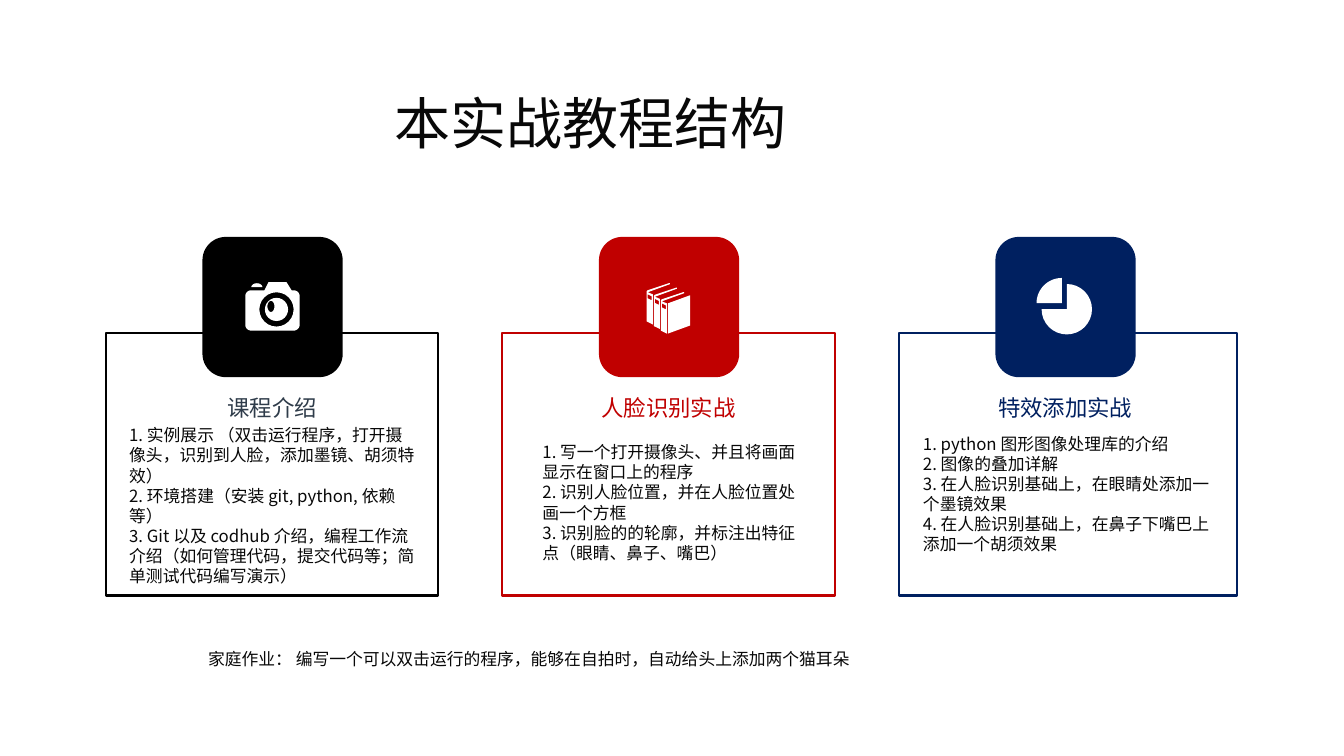
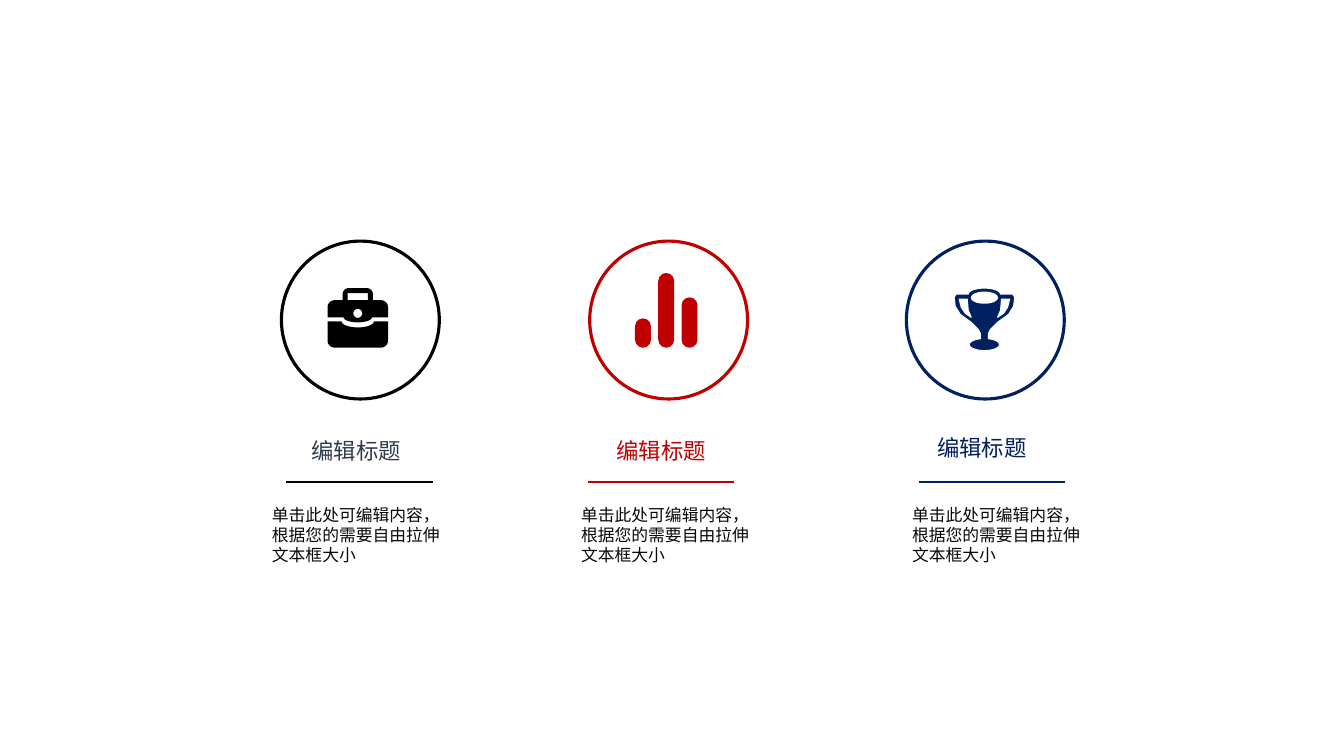
"""Build two slides: a three-part course outline and a three-column icon layout."""
import dataclasses
import math

import lxml.etree
import pptx
import pptx.dml.color
import pptx.enum.shapes
import pptx.enum.text
import pptx.oxml.ns
import pptx.util

SHAPE = pptx.enum.shapes.MSO_SHAPE
ALIGN = pptx.enum.text.PP_ALIGN


@dataclasses.dataclass(frozen=True)
class Theme:
    font: str = "Noto Sans CJK SC"
    ink: str = "080808"
    slate: str = "2F3C4A"
    white: str = "FFFFFF"
    black: str = "000000"
    red: str = "C00000"
    navy: str = "002060"
    title_size: int = 40
    heading_size: int = 16
    body_size: int = 12
    leading: float = 1.2
    frame_line: float = 1.5
    circle_line: float = 2.25
    rule_line: float = 1.75
    icon_line: float = 0.75


THEME = Theme()
WIDTH, HEIGHT = 12192000, 6858000
CELL = WIDTH / 160
ICON_STEP = 0.12


def cells(*counts):
    return [round(count * CELL) for count in counts]


def colour(code):
    return pptx.dml.color.RGBColor.from_string(code)


def style(shape, fill=None, line=None, weight=0):
    shape.shadow.inherit = False
    if fill:
        shape.fill.solid()
        shape.fill.fore_color.rgb = colour(fill)
    else:
        shape.fill.background()
    if line:
        shape.line.color.rgb = colour(line)
        shape.line.width = pptx.util.Pt(weight)
    else:
        shape.line.fill.background()


def add_box(page, kind, left, top, width, height, **look):
    box = page.shapes.add_shape(kind, *cells(left, top, width, height))
    style(box, **look)
    return box


def add_text(page, left, top, width, height, lines, size=THEME.body_size,
             ink=THEME.ink, align=ALIGN.LEFT, before=0):
    frame = page.shapes.add_textbox(*cells(left, top, width, height)).text_frame
    frame.word_wrap = True
    frame.text = "\n".join(lines)
    for para in frame.paragraphs:
        para.alignment = align
        para.line_spacing = pptx.util.Pt(size * THEME.leading)
        para.space_before = pptx.util.Pt(before)
        para.font.size = pptx.util.Pt(size)
        para.font.color.rgb = colour(ink)
        para.font.name = THEME.font
        latin = para._p.find(".//" + pptx.oxml.ns.qn("a:latin"))
        east = lxml.etree.Element(pptx.oxml.ns.qn("a:ea"), typeface=THEME.font)
        latin.addnext(east)


def add_rule(page, left, top, width, ink):
    rule = page.shapes.add_connector(
        pptx.enum.shapes.MSO_CONNECTOR.STRAIGHT, *cells(left, top, left + width, top))
    rule.line.color.rgb = colour(ink)
    rule.line.width = pptx.util.Pt(THEME.rule_line)
    lxml.etree.SubElement(rule._element.spPr, pptx.oxml.ns.qn("a:effectLst"))


def arc(x, y, across, down, start=0, end=360, steps=24):
    angles = [math.radians(start + (end - start) * i / steps) for i in range(steps + 1)]
    return [(x + across * math.cos(a), y + down * math.sin(a)) for a in angles]


def mirror(points, width):
    return [(width - x, y) for x, y in points]


def add_icon(page, left, top, contours, **look):
    placed = [[cells(left + x * ICON_STEP, top + y * ICON_STEP) for x, y in contour]
              for contour in contours]
    builder = page.shapes.build_freeform(*placed[0][0], scale=1.0)
    for index, contour in enumerate(placed):
        if index:
            builder.move_to(*contour[0])
        builder.add_line_segments(contour[1:], close=True)
    style(builder.convert_to_shape(), **look)


def camera():
    body = [(19, 8), (23, 0), (41, 0), (46, 8),
            *arc(48, 14, 6, 6, -90, 0), *arc(48, 42, 6, 6, 0, 90),
            *arc(6, 42, 6, 6, 90, 180), *arc(6, 14, 6, 6, 180, 270)]
    return [body, arc(11.5, 5, 5.5, 4, 180, 360), arc(31, 27, 17, 17),
            arc(31, 27, 11.5, 11.5), arc(25.5, 24, 3.5, 5.5)]


def books():
    spine = [(0, 9), (1, 8), (22, 1), (23, 1), (23, 2), (1, 10), (6, 12), (6, 42), (0, 39)]
    label = [(1, 12), (5, 14), (5, 18), (1, 16)]
    shelf = [[(x + 7 * i, y + 4.5 * i) for x, y in part]
             for i in range(3) for part in (spine, label)]
    return [*shelf, [(21, 21), (21, 51), (43, 43), (43, 13)]]


def pie():
    return [[(25, 25), *arc(25, 25, 25, 25, 180, 270)],
            [(30, 31), *arc(30, 31, 25, 25, -90, 180)]]


def briefcase():
    lid = [(0, 29), *arc(7, 19, 7, 7, 180, 270), (15, 12),
           *arc(21, 6, 6, 6, 180, 270), *arc(39, 6, 6, 6, -90, 0), (45, 12),
           *arc(53, 19, 7, 7, -90, 0), (60, 29), *arc(30, 29, 14, 5, 0, 180)]
    base = [(0, 33), *arc(30, 33, 16, 6, 180, 0), (60, 33),
            *arc(53, 52, 7, 7, 0, 90), *arc(7, 52, 7, 7, 90, 180)]
    handle = [(20, 5), (40, 5), (40, 12), (20, 12)]
    return [lid, handle, arc(30, 25, 4.5, 4.5), base]


def trophy():
    side = [(34, 50), (34, 45), (36, 41), (43, 34), (54, 26), (59, 18), (60, 9),
            (58, 6), (46, 6)]
    outline = [*side, *arc(30, 6, 16, 6, 0, -180), *mirror(side[::-1], 60),
               *arc(30, 56, 15, 6, 255, -75)]
    grip = [(43, 29), (46, 22), (47, 11), (55, 11), (53, 19), (49, 25)]
    return [outline, arc(30, 9.5, 13, 5.5), grip, mirror(grip, 60)]


def add_bars(page, left, bottom, heights, ink):
    for index, height in enumerate(heights):
        bar = add_box(page, SHAPE.ROUNDED_RECTANGLE, left + 2.77 * index,
                      bottom - height, 1.9, height, fill=ink)
        bar.adjustments[0] = 0.5


def add_card(page, left, width, ink, heading, heading_ink, lines, body):
    add_box(page, SHAPE.RECTANGLE, left, 39.6, width, 31.3,
            line=ink, weight=THEME.frame_line)
    add_box(page, SHAPE.ROUNDED_RECTANGLE, left + 11.5, 28.2, 16.7, 16.7, fill=ink)
    add_text(page, left + 4.9, 46.3, 29.8, 4.3, [heading],
             THEME.heading_size, heading_ink, ALIGN.CENTER)
    add_text(page, *body, lines)


def add_column(page, circle, heading, body, rule, ink, heading_ink):
    add_box(page, SHAPE.OVAL, circle, 28.7, 18.8, 18.8,
            line=ink, weight=THEME.circle_line)
    add_text(page, *heading, 15.5, 4.3, ["编辑标题"], THEME.heading_size, heading_ink)
    add_text(page, body, 59.5, 23, 8.4,
             ["单击此处可编辑内容，根据您的需要自由拉伸文本框大小"], before=2.4)
    add_rule(page, rule, 57.4, 17.4, ink)


def build_outline(page):
    add_text(page, 45.8, 10, 67.4, 9.1, ["本实战教程结构"], THEME.title_size)
    cards = [
        (39.6, THEME.black, "课程介绍", THEME.slate, [
            "1. 实例展示 （双击运行程序，打开摄像头，识别到人脸，添加墨镜、胡须特效）",
            "2. 环境搭建（安装 git, python, 依赖等）",
            "3. Git 以及 codhub 介绍，编程工作流介绍（如何管理代码，提交代码等；简单测试代码编写演示）",
        ], (14.2, 50, 36.8, 20.3)),
        (39.6, THEME.red, "人脸识别实战", THEME.red, [
            "1. 写一个打开摄像头、并且将画面显示在窗口上的程序",
            "2. 识别人脸位置，并在人脸位置处画一个方框",
            "3. 识别脸的的轮廓，并标注出特征点（眼睛、鼻子、嘴巴）",
        ], (63.4, 52, 34, 15.6)),
        (40.3, THEME.navy, "特效添加实战", THEME.navy, [
            "1. python 图形图像处理库的介绍",
            "2. 图像的叠加详解",
            "3. 在人脸识别基础上，在眼睛处添加一个墨镜效果",
            "4. 在人脸识别基础上，在鼻子下嘴巴上添加一个胡须效果",
        ], (108.7, 51, 37.8, 15.6)),
    ]
    for index, card in enumerate(cards):
        add_card(page, 12.6 + 47.2 * index, *card)
    for left, top, contours in [(29.2, 33.6, camera()), (77, 33.6, books()),
                                (123.4, 33.1, pie())]:
        add_icon(page, left, top, contours, fill=THEME.white)
    add_text(page, 23.6, 76.6, 110.6, 3.6,
             ["家庭作业： 编写一个可以双击运行的程序，能够在自拍时，自动给头上添加两个猫耳朵"])


def build_columns(page):
    for column in [
        (33.5, (35.9, 51.4), 31.2, 34.1, THEME.black, THEME.slate),
        (70.2, (72.2, 51.4), 68, 70, THEME.red, THEME.red),
        (107.9, (110.4, 51.1), 107.4, 109.4, THEME.navy, THEME.navy),
    ]:
        add_column(page, *column)
    add_icon(page, 39, 34.3, briefcase(), fill=THEME.black)
    add_bars(page, 75.6, 41.4, [3.5, 8.9, 6], THEME.red)
    add_icon(page, 113.6, 34.3, trophy(), fill=THEME.navy,
             line=THEME.white, weight=THEME.icon_line)


def main():
    deck = pptx.Presentation()
    deck.slide_width, deck.slide_height = WIDTH, HEIGHT
    for build in (build_outline, build_columns):
        build(deck.slides.add_slide(deck.slide_layouts[6]))
    deck.save("out.pptx")


if __name__ == "__main__":
    main()
